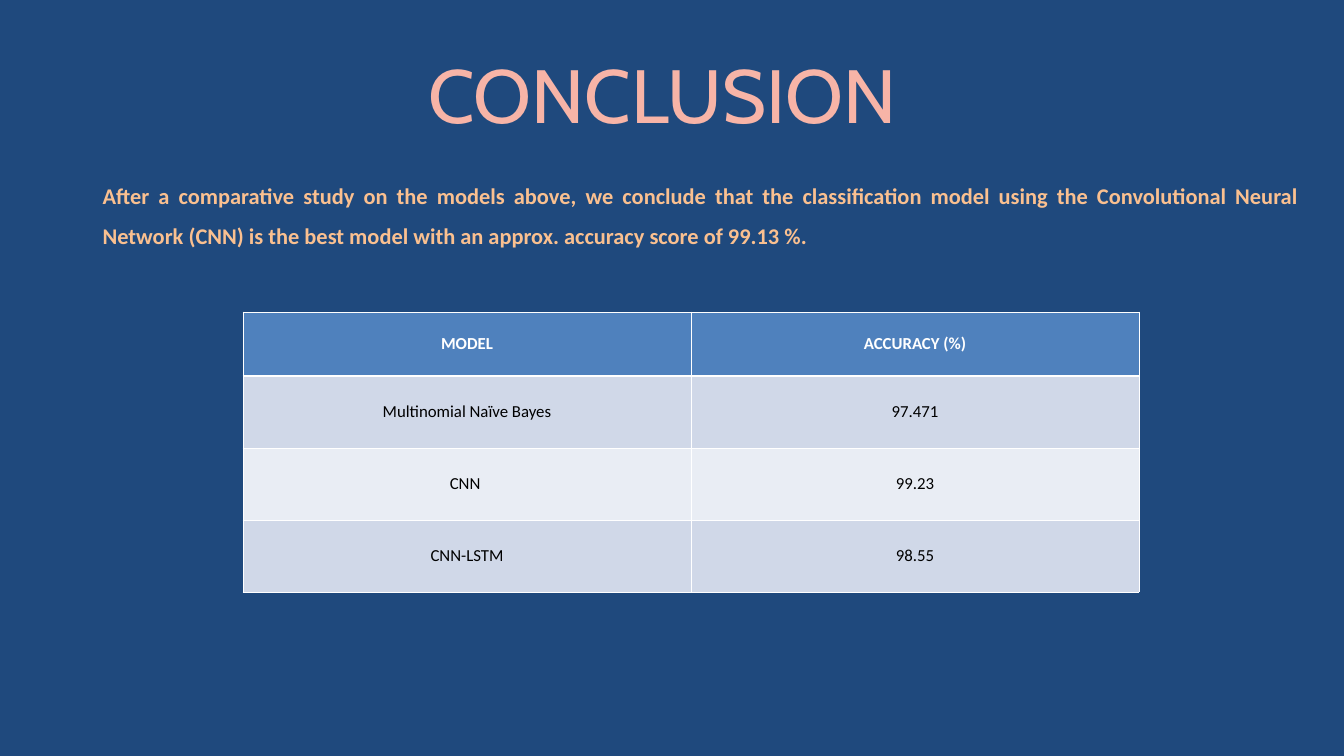
from lxml.etree import SubElement
from pptx import Presentation
from pptx.dml.color import RGBColor as RGB
from pptx.enum.text import MSO_ANCHOR as Anchor, PP_ALIGN as Align
from pptx.oxml.ns import qn
from pptx.util import Pt

TITLE = "CONCLUSION "
FINDING = (
    "After a comparative study on the models above, we conclude that the "
    "classification model using the Convolutional Neural Network (CNN) is the "
    "best model with an approx. accuracy score of 99.13 %."
)
SCORES = [
    ("MODEL", "ACCURACY (%)"),
    ("Multinomial Naïve Bayes", "97.471"),
    ("CNN ", "99.23"),
    ("CNN-LSTM", "98.55"),
]
HEX = {
    "back": "1F497D", "title": "F7B4A7", "body": "FAC090", "head": "4F81BD",
    "odd": "D0D8E8", "even": "E9EDF4", "line": "FFFFFF", "ink": "000000",
}
WIDE, HIGH = 1344, 756
COL, HEAD, ROW = 448, 64, 72


def px(n):
    return round(n * 914400 / 67.2)


def color(name):
    return RGB.from_string(HEX[name])


def write(para, text, size, name, bold=False, face="Calibri", align=Align.CENTER):
    para.alignment = align
    run = para.add_run()
    run.text = text
    font = run.font
    font.name, font.size, font.bold = face, Pt(size), bold
    font.color.rgb = color(name)


def add_box(slide, *place):
    frame = slide.shapes.add_textbox(*map(px, place)).text_frame
    frame.word_wrap = True
    return frame


def edge(cell, **widths):
    """Draw cell borders; they must come before the fill in the XML."""
    props = cell._tc.get_or_add_tcPr()
    for side, width in widths.items():
        line = SubElement(props, qn(f"a:ln{side}"), w=str(Pt(width)))
        fill = SubElement(line, qn("a:solidFill"))
        SubElement(fill, qn("a:srgbClr"), val=HEX["line"])


def add_scores(slide):
    high = HEAD + ROW * (len(SCORES) - 1)
    place = map(px, (243, 312, COL * 2, high))
    table = slide.shapes.add_table(len(SCORES), 2, *place).table
    for i, texts in enumerate(SCORES):
        top = i == 0
        table.rows[i].height = px(HEAD if top else ROW)
        shade = "head" if top else "odd" if i % 2 else "even"
        for j, text in enumerate(texts):
            cell = table.cell(i, j)
            edge(cell, L=1, R=1, T=3 if i == 1 else 1, B=3 if top else 1)
            cell.fill.solid()
            cell.fill.fore_color.rgb = color(shade)
            cell.vertical_anchor = Anchor.MIDDLE
            write(cell.text_frame.paragraphs[0], text, 18,
                  "line" if top else "ink", bold=top)


def main():
    deck = Presentation()
    deck.slide_width, deck.slide_height = px(WIDE), px(HIGH)
    slide = deck.slides.add_slide(deck.slide_layouts[6])
    back = slide.background.fill
    back.solid()
    back.fore_color.rgb = color("back")

    title = add_box(slide, 396, 59, 550, 160)
    title.margin_left = title.margin_right = 0
    title.margin_top = title.margin_bottom = 0
    para = title.paragraphs[0]
    para.line_spacing = Pt(84.9)
    write(para, TITLE, 80.8, "title", face="Cabin")

    para = add_box(slide, 79, 165, 1226, 165).paragraphs[0]
    para.line_spacing = 1.5
    para._p.get_or_add_pPr().set("marL", str(px(17)))
    write(para, FINDING, 24, "body", bold=True, align=Align.JUSTIFY)

    add_scores(slide)
    deck.save("out.pptx")


if __name__ == "__main__":
    main()
